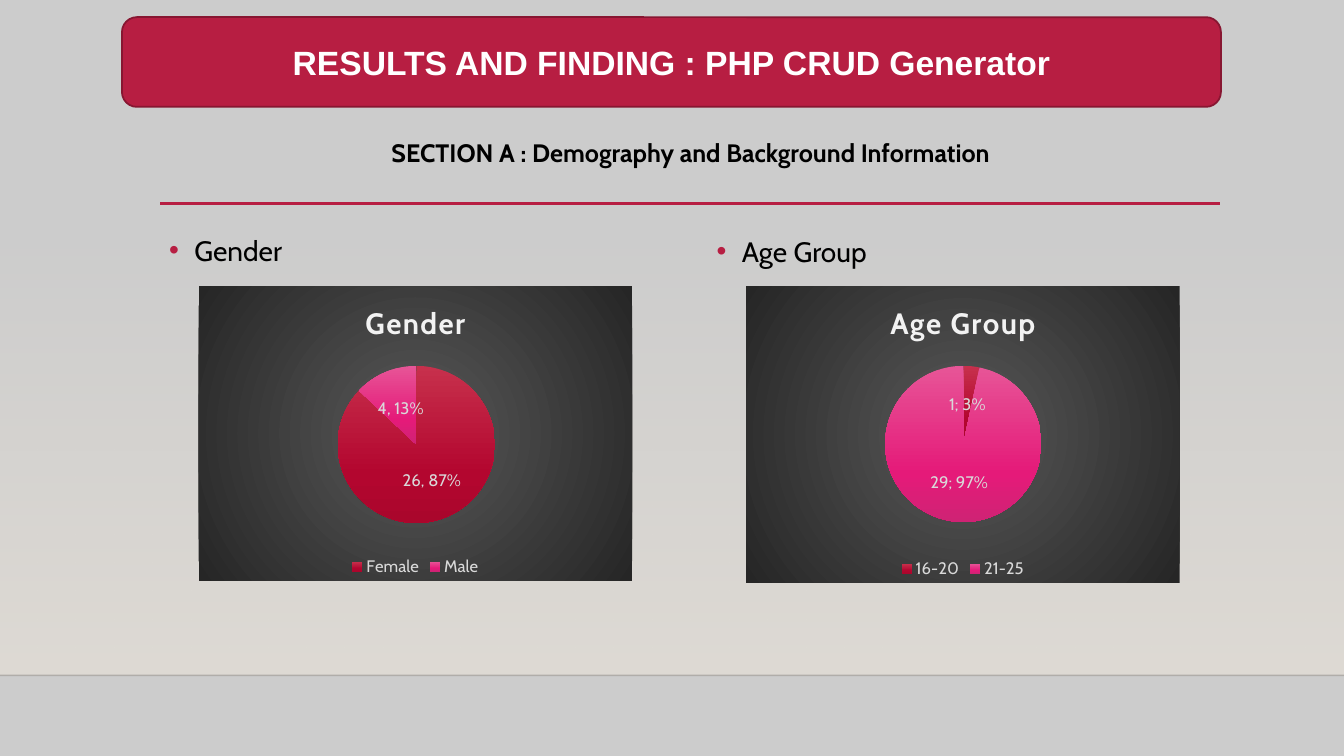
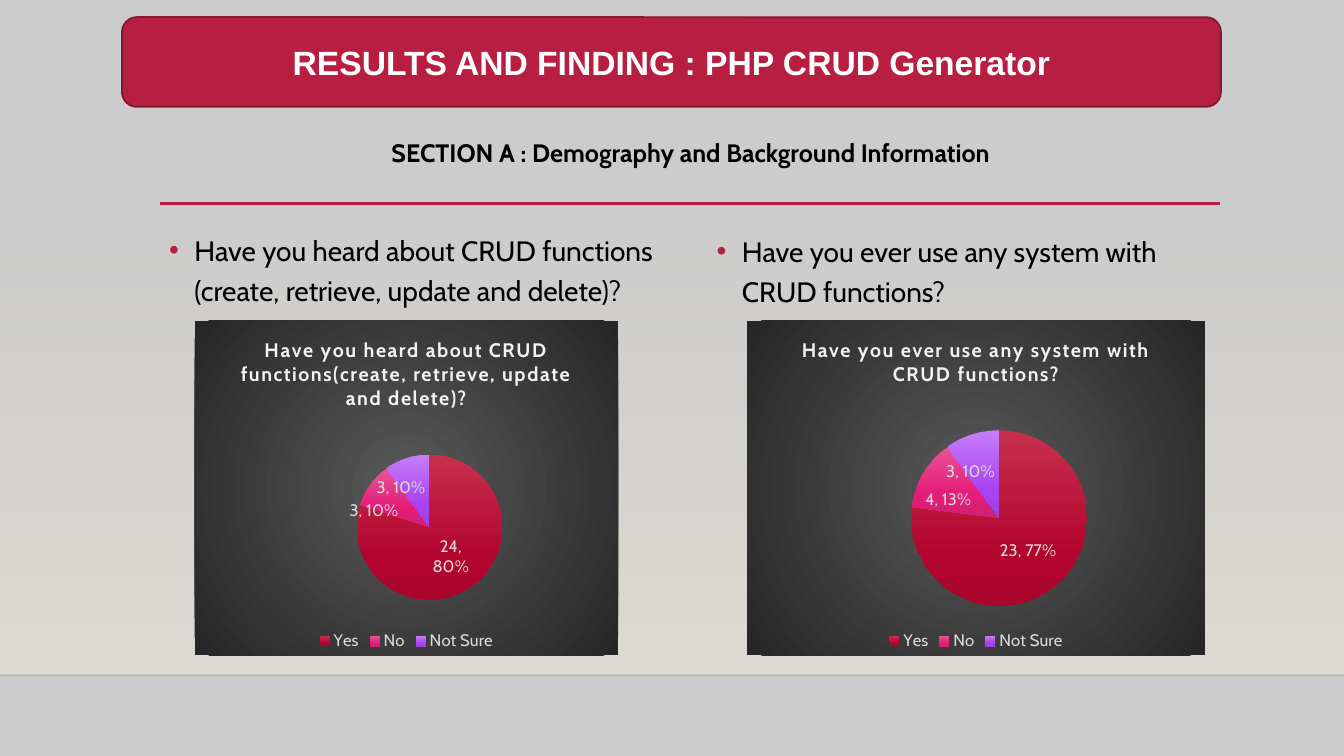
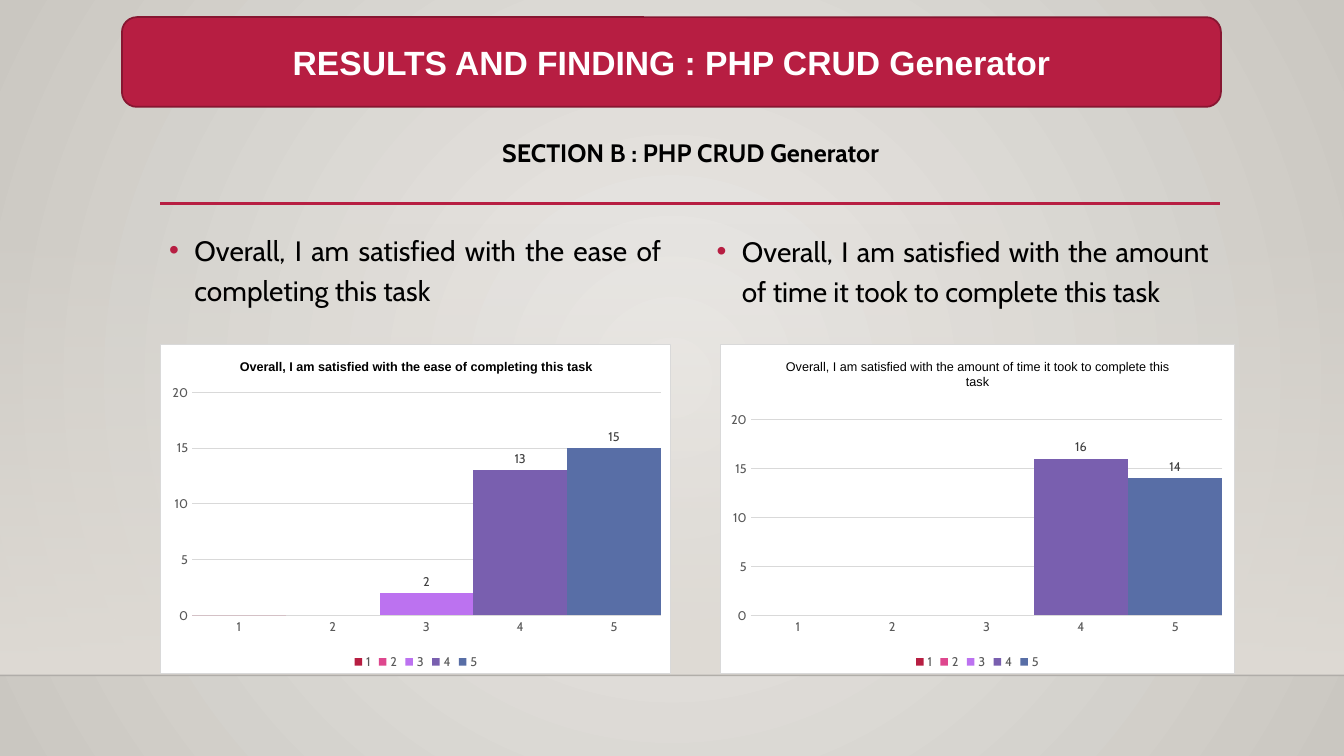
from pptx import Presentation
from pptx import util as u
from pptx.chart.data import CategoryChartData
from pptx.dml.color import RGBColor
from pptx.dml.fill import FillFormat
from pptx.enum import chart as ch, shapes, text
from pptx.oxml import parse_xml
from pptx.oxml.ns import nsdecls, qn

HEX = {"red": "B71E42", "edge": "871631", "ink": "000000", "white": "FFFFFF",
       "page": "CCCCCC", "sand": "DFDBD5", "rule": "000001", "head": "F2F2F2",
       "pale": "D9D9D9", "gray": "595959", "dark": "404040"}
DARK = [(0, "595959"), (100, "262626")]
GLOW = [(0, "ECEAE7"), (100, "CAC7C1")]
BAND = [(0, HEX["sand"], 0), (100, HEX["sand"], 100)]
SLICES = [[(0, "C7304C"), (69, "B3062F"), (100, "AA062C")],
          [(0, "E75597"), (69, "E51A79"), (100, "CF2374")],
          [(0, "C57FF7"), (69, "AA41F3"), (100, "A13FE5")]]
BARS = ["B71E42", "DE478E", "BC72F0", "795FAF", "586EA6"]

TITLE = "RESULTS AND FINDING : PHP CRUD Generator"
PART_A = "SECTION A : Demography and Background Information"
PART_B = "SECTION B : PHP CRUD Generator"
EASE = "Overall, I am satisfied with the ease of completing this task"
TIME = "Overall, I am satisfied with the amount of time it took to complete this task"
USED = "Have you ever use any system with CRUD functions?"
SURE = ["Yes", "No", "Not Sure"]
RATES = ["1", "2", "3", "4", "5"]

# "at" and "plot" are left, top, width, height on the slide;
# a note is a slice label and how far it moves right and down
DECK = [
    {"part": PART_A, "kind": "pie", "items": [
        {"ask": "Gender", "head": "Gender", "size": 21, "name": "Gender",
         "at": (1.97, 2.84, 4.3, 2.92), "plot": (3.35, 3.63, 1.56, 1.56),
         "cats": ["Female", "Male"], "vals": [87, 13],
         "notes": [("26, 87%", 0, 0), ("4, 13%", 0, 0)]},
        {"ask": "Age Group", "head": "Age Group", "size": 21, "name": "Age Group",
         "at": (7.4, 2.84, 4.3, 2.94), "plot": (8.78, 3.63, 1.55, 1.55),
         "cats": ["16-20", "21-25"], "vals": [1, 29], "notes": []}]},
    {"part": PART_A, "kind": "pie", "items": [
        {"ask": "Have you heard about CRUD functions (create, retrieve, update and delete)?",
         "head": "Have you heard about CRUD functions(create, retrieve, update and delete)?",
         "size": 14, "name": "Series 1",
         "at": (1.93, 3.18, 4.2, 3.32), "plot": (3.54, 4.51, 1.44, 1.44),
         "cats": SURE, "vals": [80, 10, 10],
         "notes": [("24, 80%", 0, 0), ("3, 10%", -0.26, 0.05), ("3, 10%", -0.17, -0.05)]},
        {"ask": USED, "head": USED, "size": 14, "name": "Series 1",
         "at": (7.41, 3.18, 4.54, 3.32), "plot": (9.04, 4.27, 1.74, 1.74),
         "cats": SURE, "vals": [77, 13, 10],
         "notes": [("23, 77%", 0, 0), ("4, 13%", -0.13, 0.04), ("3, 10%", -0.15, -0.05)]}]},
    {"part": PART_B, "kind": "bar", "items": [
        {"ask": EASE, "head": EASE, "bold": True, "vals": [0, None, 2, 13, 15],
         "at": (1.59, 3.41, 5.07, 3.28), "plot": (1.9, 3.89, 4.66, 2.22)},
        {"ask": TIME, "head": TIME, "bold": False, "vals": [None, None, None, 16, 14],
         "at": (7.14, 3.41, 5.11, 3.28), "plot": (7.44, 4.16, 4.69, 1.95)}]},
]
ASKS = [(1.58, 2.2, 5.08, 1.0), (7.01, 2.21, 5.08, 1.0)]


def rgb(key):
    """Return the colour for a palette key."""
    return RGBColor.from_string(HEX[key])


def box(at):
    """Turn a tuple of inches into lengths."""
    return [u.Inches(n) for n in at]


def style(font, size, key, bold=None, face="Cabin"):
    """Set the look of a font."""
    font.size, font.name, font.bold = u.Pt(size), face, bold
    font.color.rgb = rgb(key)


def fade(fill, stops, radial=False):
    """Replace a fill by a vertical or a radial gradient."""
    marks = "".join(
        f'<a:gs pos="{pos * 1000}"><a:srgbClr val="{tone}">'
        + "".join(f'<a:alpha val="{n * 1000}"/>' for n in alpha)
        + "</a:srgbClr></a:gs>" for pos, tone, *alpha in stops)
    way = ('<a:path path="circle"><a:fillToRect l="50000" t="50000" r="50000" b="50000"/></a:path>'
           if radial else '<a:lin ang="5400000" scaled="0"/>')
    fill.solid()
    fill.fore_color.rgb = rgb("white")
    props = fill._xPr
    props.replace(props.find(qn("a:solidFill")), parse_xml(
        f'<a:gradFill {nsdecls("a")} rotWithShape="1"><a:gsLst>{marks}</a:gsLst>{way}</a:gradFill>'))


def rule(slide, left, right, top, key, width, alpha=100):
    """Draw a horizontal line."""
    line = slide.shapes.add_connector(
        shapes.MSO_CONNECTOR.STRAIGHT, *box((left, top, right, top)))
    line.line.color.rgb = rgb(key)
    line.line.width = u.Pt(width)
    props = line._element.spPr
    if alpha < 100:
        tone = next(props.iter(qn("a:srgbClr")))
        tone.append(parse_xml(f'<a:alpha {nsdecls("a")} val="{alpha * 1000}"/>'))
    props.append(parse_xml(f'<a:effectLst {nsdecls("a")}/>'))


def write(slide, at, words, size, bold=None):
    """Add a text box and return its paragraph."""
    frame = slide.shapes.add_textbox(*box(at)).text_frame
    frame.word_wrap = True
    para = frame.paragraphs[0]
    para.text = words
    style(para.runs[0].font, size, "ink", bold)
    return para


def bullet(para):
    """Give a paragraph a red hanging bullet."""
    para.line_spacing, para.space_before = 1.2, u.Pt(10)
    props = para._p.get_or_add_pPr()
    props.set("marL", str(u.Inches(0.25)))
    props.set("indent", str(u.Inches(-0.25)))
    for part in (f'<a:buClr {nsdecls("a")}><a:srgbClr val="{HEX["red"]}"/></a:buClr>',
                 f'<a:buFont {nsdecls("a")} typeface="Arial"/>',
                 f'<a:buChar {nsdecls("a")} char="\u2022"/>'):
        props.append(parse_xml(part))


def base(prs, part, kind):
    """Add a slide with the shared band, rules, title and section."""
    slide = prs.slides.add_slide(prs.slide_layouts[5])
    back = slide.background.fill
    if kind == "bar":
        fade(back, GLOW, True)
    else:
        back.solid()
        back.fore_color.rgb = rgb("page")
    preset = shapes.MSO_SHAPE
    band = slide.shapes.add_shape(preset.RECTANGLE, *box((0, 2.21, 13.33, 4.49)))
    band.shadow.inherit = False
    fade(band.fill, BAND)
    band.line.fill.background()
    rule(slide, 0, 13.33, 6.7, "rule", 1, 20)
    rule(slide, 1.59, 12.1, 2.02, "red", 2.5)

    spot = box((1.21, 0.17, 10.9, 0.89))
    banner = slide.shapes.add_shape(preset.ROUNDED_RECTANGLE, *spot)
    banner.shadow.inherit = False
    banner.fill.solid()
    banner.fill.fore_color.rgb = rgb("red")
    banner.line.color.rgb = rgb("edge")
    banner.line.width = u.Pt(1.25)
    title = slide.shapes.title
    title.left, title.top, title.width, title.height = spot
    banner._element.addnext(title._element)
    frame = title.text_frame
    frame.text = TITLE
    frame.vertical_anchor = text.MSO_ANCHOR.MIDDLE
    frame.paragraphs[0].alignment = text.PP_ALIGN.CENTER
    style(frame.paragraphs[0].runs[0].font, 24, "white", True, "Arial")
    head = write(slide, (2.94, 1.31, 7.82, 0.71), part, 18, True)
    head.alignment = text.PP_ALIGN.CENTER
    return slide


def layout(tags):
    """Wrap tags in a manual chart layout."""
    return parse_xml(f'<c:layout {nsdecls("c")}><c:manualLayout>{tags}'
                     '</c:manualLayout></c:layout>')


def plot(slide, item, kind, data, size, key):
    """Add a chart with its fonts, legend, title text and plot area."""
    at, area = item["at"], item["plot"]
    chart = slide.shapes.add_chart(kind, *box(at), data).chart
    style(chart.font, 10, "ink")
    chart.has_legend = True
    chart.legend.position = ch.XL_LEGEND_POSITION.BOTTOM
    chart.legend.include_in_layout = False
    style(chart.legend.font, size, key)
    chart.chart_title.text_frame.text = item["head"]
    share = {"x": (area[0] - at[0]) / at[2], "y": (area[1] - at[1]) / at[3],
             "w": area[2] / at[2], "h": area[3] / at[3]}
    tags = '<c:layoutTarget val="inner"/>'
    tags += "".join(f'<c:{n}Mode val="edge"/>' for n in "xy")
    tags += "".join(f'<c:{n} val="{v:.4f}"/>' for n, v in share.items())
    room = next(chart._chartSpace.iter(qn("c:plotArea")))
    for old in room.findall(qn("c:layout")):
        room.remove(old)
    room.insert(0, layout(tags))
    return chart


def panel(chart, line):
    """Set the outline of the chart area and return its fill."""
    props = parse_xml(f'<c:spPr {nsdecls("c", "a")}>{line}</c:spPr>')
    chart._chartSpace.find(qn("c:chart")).addnext(props)
    return FillFormat.from_fill_parent(props)


def pie(slide, item):
    """Draw a pie on a dark panel."""
    data = CategoryChartData()
    data.categories = item["cats"]
    data.add_series(item["name"], item["vals"])
    chart = plot(slide, item, ch.XL_CHART_TYPE.PIE, data, 11.9, "pale")
    run = chart.chart_title.text_frame.paragraphs[0].runs[0]
    style(run.font, item["size"], "head", True)
    run.font._element.set("spc", "100")
    fade(panel(chart, "<a:ln><a:noFill/></a:ln>"), DARK, True)
    chart.plots[0].vary_by_categories = True
    ser = chart.plots[0].series[0]
    for n, stops in enumerate(SLICES[:len(item["cats"])]):
        fade(ser.points[n].format.fill, stops)
    tags = ser.data_labels
    tags.show_percentage = True
    tags.show_value = not item["notes"]
    tags.position = ch.XL_LABEL_POSITION.CENTER
    style(tags.font, 11.9, "pale")
    tags._element.find(qn("c:showBubbleSize")).addnext(
        parse_xml(f'<c:separator {nsdecls("c")}>; </c:separator>'))
    wide, high = item["at"][2:]
    for n, (note, right, down) in enumerate(item["notes"]):
        tag = ser.points[n].data_label
        tag.text_frame.text = note
        tag.position = ch.XL_LABEL_POSITION.CENTER
        style(tag.text_frame.paragraphs[0].runs[0].font, 11.9, "pale")
        if right or down:
            mark = tags._element.findall(qn("c:dLbl"))[n]
            mark.find(qn("c:idx")).addnext(layout(
                f'<c:x val="{right / wide:.4f}"/><c:y val="{down / high:.4f}"/>'))


def bars(slide, item):
    """Draw touching columns, one series for each rating."""
    data = CategoryChartData()
    data.categories = RATES
    for n, val in enumerate(item["vals"]):
        data.add_series(RATES[n], [val if n == k else None for k in range(len(RATES))])
    chart = plot(slide, item, ch.XL_CHART_TYPE.COLUMN_CLUSTERED, data, 9, "gray")
    style(chart.chart_title.text_frame.paragraphs[0].runs[0].font, 9, "ink",
          item["bold"], "Arial")
    fill = panel(chart, f'<a:ln w="{u.Pt(0.75)}"><a:solidFill><a:srgbClr val="{HEX["pale"]}"/>'
                        '</a:solidFill></a:ln>')
    fill.solid()
    fill.fore_color.rgb = rgb("white")
    group = chart.plots[0]
    group.gap_width, group.overlap, group.vary_by_categories = 0, 100, False
    for ser, tone, val in zip(group.series, BARS, item["vals"]):
        ser.format.fill.solid()
        ser.format.fill.fore_color.rgb = RGBColor.from_string(tone)
        if val:
            ser.data_labels.show_value = True
            ser.data_labels.position = ch.XL_LABEL_POSITION.OUTSIDE_END
            style(ser.data_labels.font, 9, "dark")
    cat, val = chart.category_axis, chart.value_axis
    for axis in (cat, val):
        axis.major_tick_mark = axis.minor_tick_mark = ch.XL_TICK_MARK.NONE
        style(axis.tick_labels.font, 9, "gray")
    val.minimum_scale, val.maximum_scale, val.major_unit = 0, 20, 5
    val.format.line.fill.background()
    for line in (cat.format.line, val.major_gridlines.format.line):
        line.color.rgb = rgb("pale")
        line.width = u.Pt(0.75)


def main():
    """Build the deck and save it."""
    prs = Presentation()
    prs.slide_width, prs.slide_height = u.Inches(13.33), u.Inches(7.5)
    for page in DECK:
        slide = base(prs, page["part"], page["kind"])
        for at, item in zip(ASKS, page["items"]):
            para = write(slide, at, item["ask"], 20)
            bullet(para)
            if page["kind"] == "bar":
                para.alignment = text.PP_ALIGN.JUSTIFY
                bars(slide, item)
            else:
                pie(slide, item)
    prs.save("out.pptx")


main()
